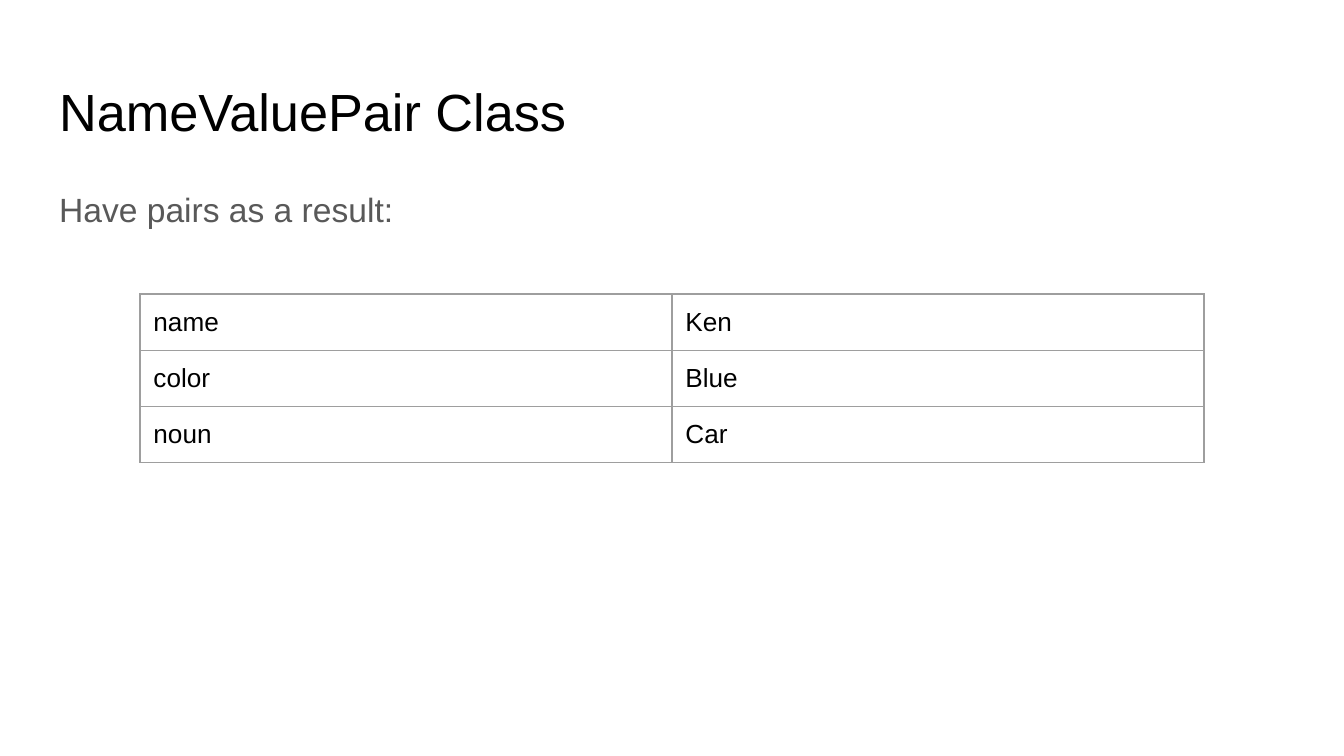
from dataclasses import dataclass

from lxml.etree import SubElement
from pptx import Presentation
from pptx.dml.color import RGBColor
from pptx.enum.text import MSO_ANCHOR, MSO_AUTO_SIZE, PP_ALIGN
from pptx.oxml.ns import qn
from pptx.util import Pt


@dataclass(frozen=True)
class Theme:
    """Colours, font and type sizes of the slide."""
    font: str = "Arial"
    ink: str = "000000"
    muted: str = "595959"
    border: str = "9E9E9E"
    border_width: float = 0.75
    title_size: float = 28
    body_size: float = 18
    cell_size: float = 14
    inset: float = 7.2


class SlideBuilder:
    """Adds styled elements to the current slide."""

    def __init__(self, slide, theme):
        self.slide = slide
        self.theme = theme

    def format_text(self, text_frame, size, color):
        for paragraph in text_frame.paragraphs:
            paragraph.alignment = PP_ALIGN.LEFT
            for run in paragraph.runs:
                run.font.name = self.theme.font
                run.font.size = Pt(size)
                run.font.color.rgb = RGBColor.from_string(color)

    def fill_placeholder(self, index, text, box, size, color):
        shape = self.slide.placeholders[index]
        shape.left, shape.top, shape.width, shape.height = map(Pt, box)
        text_frame = shape.text_frame
        text_frame.text = text
        text_frame.word_wrap = True
        text_frame.auto_size = MSO_AUTO_SIZE.NONE
        text_frame.vertical_anchor = MSO_ANCHOR.TOP
        for side in ("left", "top", "right", "bottom"):
            setattr(text_frame, f"margin_{side}", Pt(self.theme.inset))
        for paragraph in text_frame.paragraphs:
            paragraph.space_before = Pt(0)
        self.format_text(text_frame, size, color)
        return text_frame

    def title(self, text, box):
        self.fill_placeholder(0, text, box, self.theme.title_size, self.theme.ink)

    def body(self, text, box):
        text_frame = self.fill_placeholder(
            1, text, box, self.theme.body_size, self.theme.muted)
        for paragraph in text_frame.paragraphs:
            paragraph.line_spacing = 1.15
            paragraph.space_after = Pt(16)
            properties = paragraph._p.get_or_add_pPr()
            properties.set("marL", "0")
            properties.set("indent", "0")
            SubElement(properties, qn("a:buNone"))

    def cell_borders(self, cell):
        properties = cell._tc.get_or_add_tcPr()
        for position, side in enumerate(("lnL", "lnR", "lnT", "lnB")):
            line = SubElement(properties, qn(f"a:{side}"),
                              w=str(Pt(self.theme.border_width)))
            fill = SubElement(line, qn("a:solidFill"))
            SubElement(fill, qn("a:srgbClr"), val=self.theme.border)
            properties.insert(position, line)

    def table(self, rows, left, top, column_width, row_height):
        column_count = len(rows[0])
        table = self.slide.shapes.add_table(
            len(rows), column_count, Pt(left), Pt(top),
            Pt(column_width * column_count), Pt(row_height * len(rows))).table
        table.first_row = table.horz_banding = False
        for column in table.columns:
            column.width = Pt(column_width)
        for row, values in zip(table.rows, rows):
            row.height = Pt(row_height)
            for cell, value in zip(row.cells, values):
                cell.text_frame.text = value
                for side in ("left", "top", "right", "bottom"):
                    setattr(cell, f"margin_{side}", Pt(self.theme.inset))
                cell.fill.background()
                self.cell_borders(cell)
                self.format_text(cell.text_frame, self.theme.cell_size, self.theme.ink)


presentation = Presentation()
presentation.slide_width, presentation.slide_height = Pt(720), Pt(405)
slide = presentation.slides.add_slide(presentation.slide_layouts[1])
builder = SlideBuilder(slide, Theme())
builder.title("NameValuePair Class", (24.5, 35, 671, 45))
builder.body("Have pairs as a result:", (24.5, 90.7, 671, 269))
builder.table([("name", "Ken"), ("color", "Blue"), ("noun", "Car")],
              left=75, top=157.5, column_width=285, row_height=30)
presentation.save("out.pptx")
